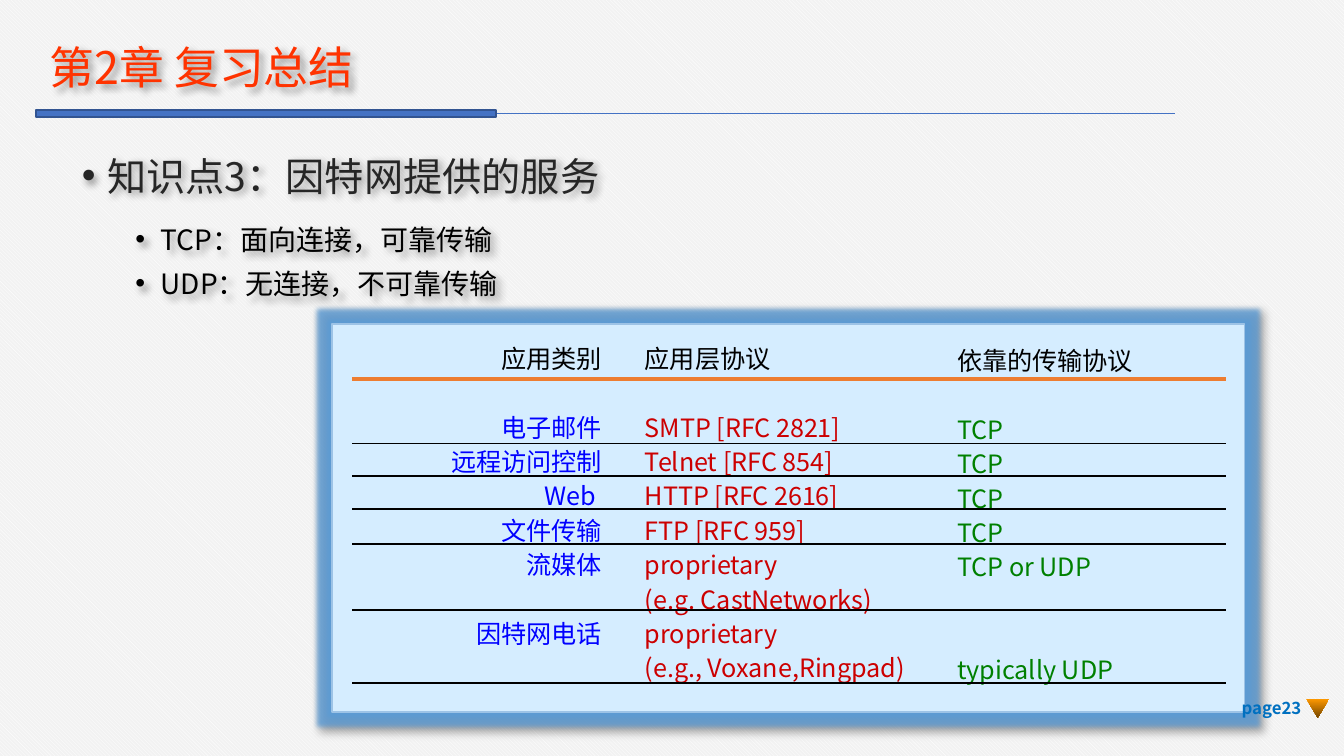
import pptx
import pptx.util
import pptx.dml.color
import pptx.enum.dml
import pptx.enum.shapes
import pptx.enum.text
import pptx.oxml
import pptx.oxml.ns
import lxml.etree

Pt = pptx.util.Pt
ALIGN = pptx.enum.text.PP_ALIGN
ANCHOR = pptx.enum.text.MSO_ANCHOR
SHAPE = pptx.enum.shapes.MSO_SHAPE
FONT = "Noto Sans CJK SC"
COLS, ROWS = 100, 56.25
COLORS = {
    "white": "FFFFFF", "paper": "F2F2F2", "title": "FF3300",
    "heading": "262626", "black": "000000", "bar": "4472C4",
    "bar_edge": "325491", "panel": "D5EDFF", "panel_edge": "9DC3E6",
    "glow": "5B9BD5", "rule": "ED7D31", "app": "0000FF",
    "protocol": "CC0000", "transport": "008000", "page": "0070C0",
    "marker": "FF9900", "marker_dark": "764700",
}


def rgb(name):
    return pptx.dml.color.RGBColor.from_string(COLORS[name])


def add_effects(sp, glow=False, shadow=False):
    for old in sp._element.spPr.findall(pptx.oxml.ns.qn("a:effectLst")):
        sp._element.spPr.remove(old)
    xml = "<a:effectLst %s>" % pptx.oxml.ns.nsdecls("a")
    if glow:
        xml += ('<a:glow rad="63500"><a:srgbClr val="%s">'
                '<a:alpha val="80000"/></a:srgbClr></a:glow>' % COLORS["glow"])
    if shadow:
        xml += ('<a:outerShdw blurRad="50800" dist="38100" dir="2700000">'
                '<a:srgbClr val="%s"><a:alpha val="40000"/></a:srgbClr>'
                '</a:outerShdw>' % COLORS["black"])
    sp._element.spPr.append(pptx.oxml.parse_xml(xml + "</a:effectLst>"))


def write(p, text, size=13.5, color="black", bold=False, align=ALIGN.LEFT,
          before=0, line=None, bullet=False):
    p.alignment = align
    p.space_before = Pt(before)
    p.space_after = Pt(0)
    if line:
        p.line_spacing = line
    if bullet:
        pPr = p._p.get_or_add_pPr()
        pPr.set("marL", "171450")
        pPr.set("indent", "-171450")
        for tag, key, value in (("a:buFont", "typeface", "Arial"),
                                ("a:buChar", "char", "•")):
            lxml.etree.SubElement(pPr, pptx.oxml.ns.qn(tag)).set(key, value)
    r = p.add_run()
    r.text = text
    r.font.size = Pt(size)
    r.font.bold = bold
    r.font.color.rgb = rgb(color)
    r.font.name = FONT
    ea = lxml.etree.SubElement(r._r.get_or_add_rPr(), pptx.oxml.ns.qn("a:ea"))
    ea.set("typeface", FONT)


class Deck:
    def __init__(self):
        self.prs = pptx.Presentation()
        self.prs.slide_width = pptx.util.Inches(10)
        self.prs.slide_height = pptx.util.Inches(5.625)
        self.s = self.prs.slides.add_slide(self.prs.slide_layouts[1])
        fill = self.s.background.fill
        fill.patterned()
        fill.pattern = pptx.enum.dml.MSO_PATTERN.DARK_DOWNWARD_DIAGONAL
        fill.fore_color.rgb = rgb("white")
        fill.back_color.rgb = rgb("paper")

    def x(self, col):
        return int(self.prs.slide_width * col / COLS)

    def y(self, row):
        return int(self.prs.slide_height * row / ROWS)

    def box(self, col, row, cols, rows):
        return self.x(col), self.y(row), self.x(cols), self.y(rows)

    def placeholder(self, idx, text, box, anchor, **style):
        sp = self.s.placeholders[idx]
        sp.left, sp.top, sp.width, sp.height = self.box(*box)
        tf = sp.text_frame
        tf.auto_size = pptx.enum.text.MSO_AUTO_SIZE.NONE
        tf.vertical_anchor = anchor
        write(tf.paragraphs[0], text, **style)
        add_effects(sp, shadow=True)

    def text(self, items, box, anchor=ANCHOR.TOP, shadow=False, **style):
        sp = self.s.shapes.add_textbox(*self.box(*box))
        tf = sp.text_frame
        tf.word_wrap = True
        tf.vertical_anchor = anchor
        for i, (text, extra) in enumerate(items):
            p = tf.add_paragraph() if i else tf.paragraphs[0]
            write(p, text, **{**style, **extra})
        if shadow:
            add_effects(sp, shadow=True)

    def shape(self, kind, box, fill, edge=None, fade=None):
        sp = self.s.shapes.add_shape(kind, *self.box(*box))
        sp.shadow.inherit = False
        if fade:
            sp.fill.gradient()
            sp.fill.gradient_angle = 270
            for stop, name in zip(sp.fill.gradient_stops, (fill, fade)):
                stop.color.rgb = rgb(name)
        else:
            sp.fill.solid()
            sp.fill.fore_color.rgb = rgb(fill)
        if edge:
            sp.line.color.rgb = rgb(edge)
            sp.line.width = Pt(1)
        else:
            sp.line.fill.background()
        return sp

    def line(self, start, end, row, color="black", width=1):
        c = self.s.shapes.add_connector(
            pptx.enum.shapes.MSO_CONNECTOR.STRAIGHT,
            self.x(start), self.y(row), self.x(end), self.y(row))
        c.line.color.rgb = rgb(color)
        c.line.width = Pt(width)
        add_effects(c)
        return c

    def column(self, header, cells, color, box, align=ALIGN.LEFT):
        line, gap = 16.2, 2.2
        items = [(header, {"before": 0})]
        skipped = 1
        for cell in cells:
            if cell is None:
                skipped += 1
                continue
            before = gap + skipped * (line + gap)
            items.append((cell, {"before": before, "color": color}))
            skipped = 0
        self.text(items, box, align=align, line=Pt(line))


def main():
    deck = Deck()
    underline = deck.line(87.4, 2.7, 8.45, "bar", 0.5)
    bar = deck.shape(SHAPE.RECTANGLE, (2.7, 8.2, 34.2, 0.5), "bar", "bar_edge")
    underline.end_connect(bar, 1)

    deck.placeholder(0, "第2章 复习总结", (2.7, 3, 43.4, 4.4), ANCHOR.MIDDLE,
                     size=24, color="title", line=0.9)
    deck.placeholder(1, "知识点3：因特网提供的服务", (5.1, 10.8, 61.7, 41.3),
                     ANCHOR.TOP, size=21, color="heading", line=Pt(25.2),
                     bullet=True)
    deck.text([("TCP：面向连接，可靠传输", {}),
               ("UDP：无连接，不可靠传输", {"before": 7.5})],
              (9.1, 16.3, 32.3, 7.1), shadow=True, size=15, line=Pt(16.2),
              bullet=True)

    panel = deck.shape(SHAPE.RECTANGLE, (24.7, 24.1, 67.9, 28.9),
                       "panel", "panel_edge")
    add_effects(panel, glow=True, shadow=True)

    deck.column("应用类别",
                ["电子邮件", "远程访问控制", "Web ", "文件传输", "流媒体",
                 None, "因特网电话"],
                "app", (32.35, 25.05, 13.4, 23.7), ALIGN.RIGHT)
    deck.column("应用层协议",
                ["SMTP [RFC 2821]", "Telnet [RFC 854]", "HTTP [RFC 2616]",
                 "FTP [RFC 959]", "proprietary", "(e.g. CastNetworks)",
                 "proprietary", "(e.g., Voxane,Ringpad)"],
                "protocol", (47, 25.05, 21.8, 26.2))
    deck.column("依靠的传输协议",
                ["TCP"] * 4 + ["TCP or UDP", None, None, "typically UDP"],
                "transport", (70.25, 25.2, 21.5, 26.2))

    deck.line(26.2, 91.2, 28.2, "rule", 2.25)
    for row in (33, 35.4, 37.9, 40.5, 45.4, 50.8):
        deck.line(26.2, 91.2, row)

    deck.text([("page23", {})], (90.9, 51.2, 6.9, 3), ANCHOR.MIDDLE,
              size=9, color="page", bold=True, align=ALIGN.RIGHT)
    deck.shape(SHAPE.FLOWCHART_MERGE, (97.2, 52, 1.7, 1.4), "marker",
               fade="marker_dark")
    deck.prs.save("out.pptx")


if __name__ == "__main__":
    main()
